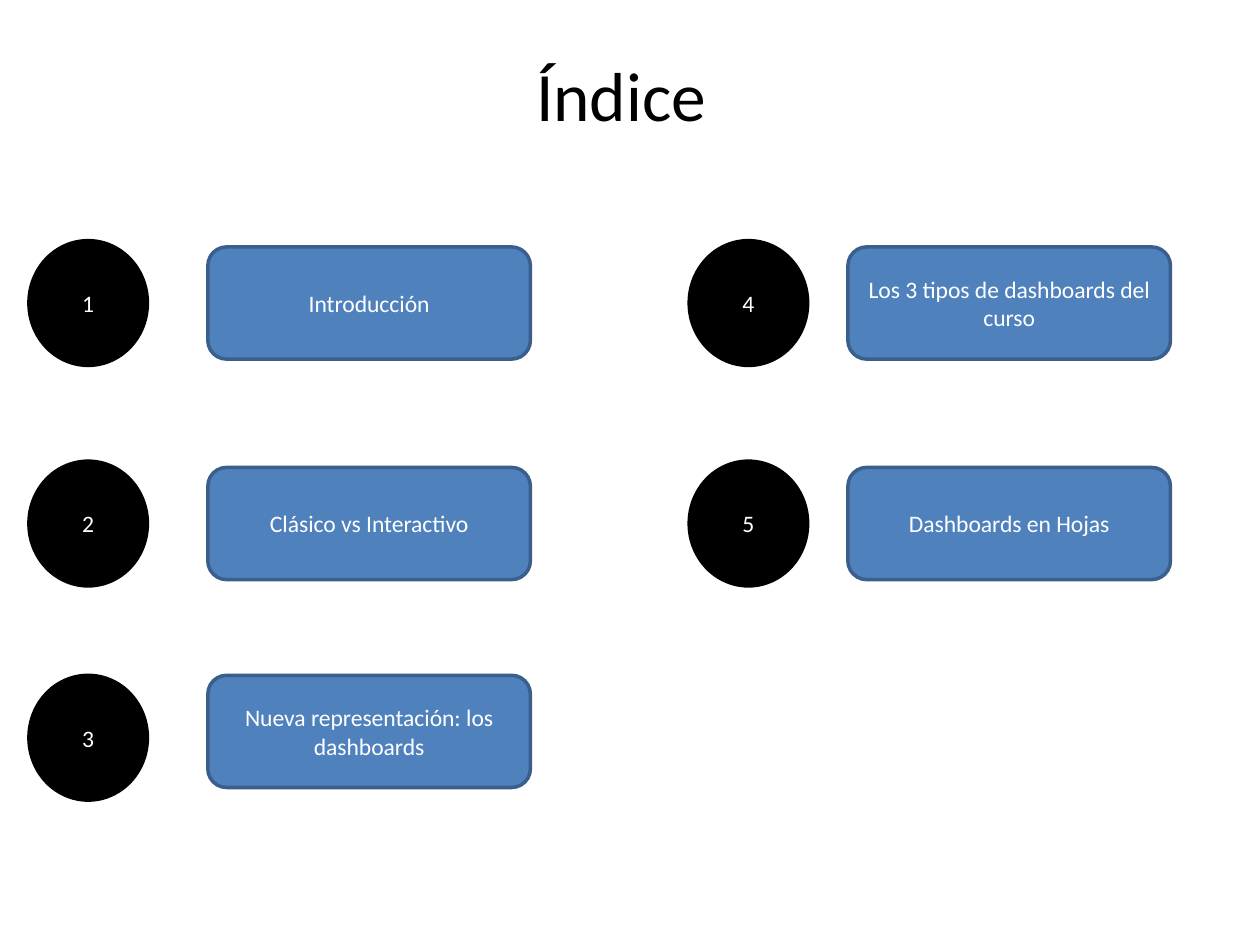
"""Build an index slide with numbered topics in two columns."""
import pptx
import pptx.dml.color
import pptx.enum.shapes
import pptx.enum.text
import pptx.util

COLOURS = {"black": "000000", "white": "FFFFFF", "blue": "4F81BD", "navy": "3A5F8C"}
FONT = "Calibri"
SLIDE_WIDTH = pptx.util.Inches(10)
SLIDE_HEIGHT = pptx.util.Inches(7.5)
COLUMN = SLIDE_WIDTH / 100
ROW = SLIDE_HEIGHT / 75
SHAPES = pptx.enum.shapes.MSO_SHAPE

ENTRY_TOPS = [19.1, 36.6, 53.6]
LABEL_DROPS = [0.5, 0.5, 0]
INDEX_COLUMNS = [
    (2.3, 14.2, ["Introducción", "Clásico vs Interactivo", "Nueva representación: los dashboards"]),
    (54.7, 12.6, ["Los 3 tipos de dashboards del curso", "Dashboards en Hojas"]),
]


def colour(name):
    """Return the named colour."""
    return pptx.dml.color.RGBColor.from_string(COLOURS[name])


def grid_box(left, top, width, height):
    """Convert grid columns and rows to slide lengths."""
    return [round(length) for length in (left * COLUMN, top * ROW, width * COLUMN, height * ROW)]


def write_text(shape, text, size, colour_name):
    """Write one centred run in the middle of a shape."""
    frame = shape.text_frame
    frame.word_wrap = True
    frame.vertical_anchor = pptx.enum.text.MSO_ANCHOR.MIDDLE
    paragraph = frame.paragraphs[0]
    paragraph.alignment = pptx.enum.text.PP_ALIGN.CENTER
    run = paragraph.add_run()
    run.text = text
    run.font.name = FONT
    run.font.size = pptx.util.Pt(size)
    run.font.color.rgb = colour(colour_name)


def add_title(slide, box, text):
    """Place the slide title."""
    write_text(slide.shapes.add_textbox(*grid_box(*box)), text, 39.6, "black")


def add_block(slide, kind, box, text, fill, line):
    """Place a filled shape with white text."""
    shape = slide.shapes.add_shape(kind, *grid_box(*box))
    shape.shadow.inherit = False
    shape.fill.solid()
    shape.fill.fore_color.rgb = colour(fill)
    shape.line.color.rgb = colour(line)
    shape.line.width = pptx.util.Pt(2)
    write_text(shape, text, 13.5, "white")


def add_index_column(slide, left, label_offset, first_number, topics):
    """Place a column of numbered topics."""
    for index, topic in enumerate(topics):
        top = ENTRY_TOPS[index]
        number_box = (left, top, 9.4, 9.9)
        label_box = (left + label_offset, top + LABEL_DROPS[index], 25.6, 8.9)
        add_block(slide, SHAPES.OVAL, number_box, str(first_number + index), "black", "black")
        add_block(slide, SHAPES.ROUNDED_RECTANGLE, label_box, topic, "blue", "navy")


def main():
    """Create and save the presentation."""
    presentation = pptx.Presentation()
    presentation.slide_width = SLIDE_WIDTH
    presentation.slide_height = SLIDE_HEIGHT
    slide = presentation.slides.add_slide(presentation.slide_layouts[6])
    add_title(slide, (7, 3.8, 84.6, 7.3), "Índice")
    first_number = 1
    for left, label_offset, topics in INDEX_COLUMNS:
        add_index_column(slide, left, label_offset, first_number, topics)
        first_number += len(topics)
    presentation.save("out.pptx")


if __name__ == "__main__":
    main()
